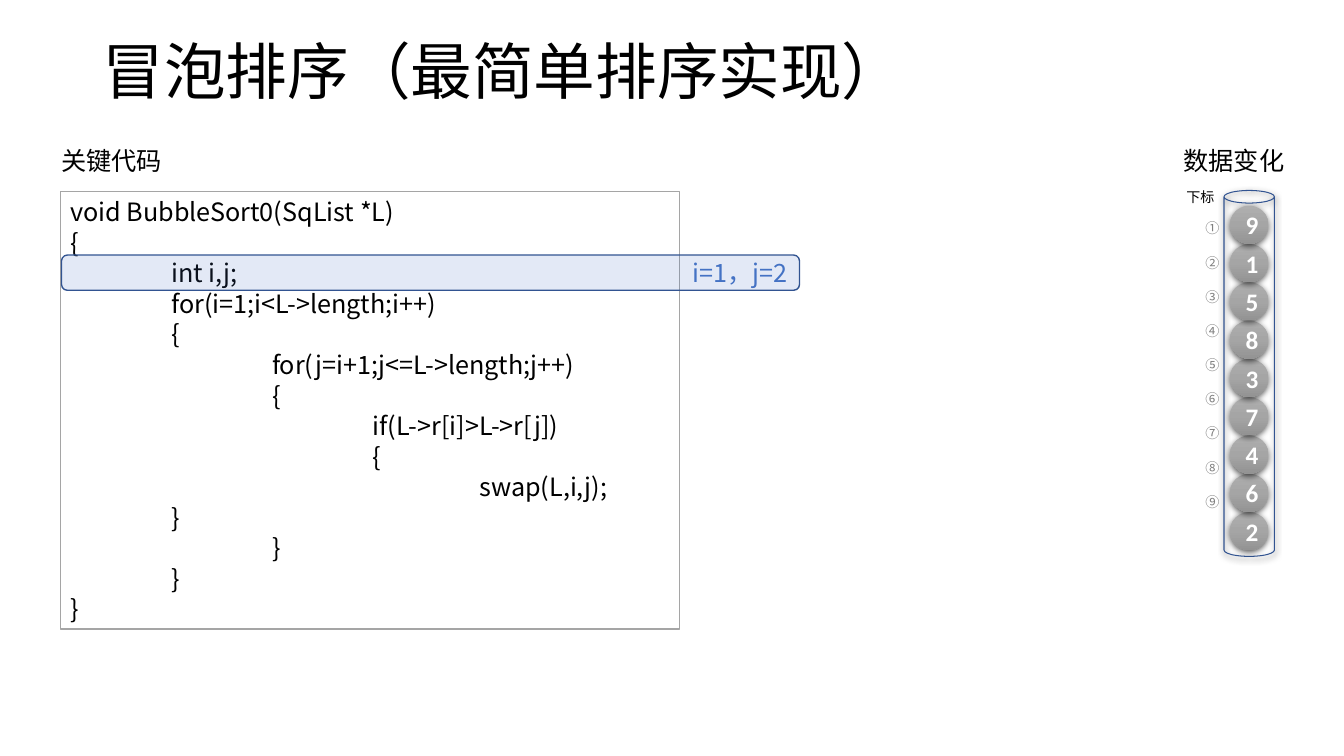
from copy import deepcopy

from lxml import etree
from pptx import Presentation
from pptx.dml.color import RGBColor
from pptx.enum.shapes import MSO_SHAPE
from pptx.enum.text import MSO_ANCHOR, PP_ALIGN
from pptx.oxml.ns import qn
from pptx.util import Inches, Pt

RECTANGLE = MSO_SHAPE.RECTANGLE
ROUNDED = MSO_SHAPE.ROUNDED_RECTANGLE
CAN = MSO_SHAPE.CAN
OVAL = MSO_SHAPE.OVAL
TOP, MIDDLE = MSO_ANCHOR.TOP, MSO_ANCHOR.MIDDLE
LEFT, CENTER, RIGHT = PP_ALIGN.LEFT, PP_ALIGN.CENTER, PP_ALIGN.RIGHT

CJK_FONT = "Noto Sans CJK SC"
BLACK, WHITE, GRAY = "000000", "FFFFFF", "808080"
BLUE, DARK_BLUE, FRAME_GRAY = "4472C4", "325491", "A5A5A5"
BALL_COLOURS = ("AFAFAF", "A5A5A5", "939393")

# Indent level and text of each code line
CODE = [
    (0, "void BubbleSort0(SqList *L)"),
    (0, "{"),
    (1, "int i,j;"),
    (1, "for(i=1;i<L->length;i++)"),
    (1, "{"),
    (2, "for(j=i+1;j<=L->length;j++)"),
    (2, "{"),
    (3, "if(L->r[i]>L->r[j])"),
    (3, "{"),
    (4, " swap(L,i,j);"),
    (1, "}"),
    (2, "}"),
    (1, "}"),
    (0, "}"),
]
DATA = [9, 1, 5, 8, 3, 7, 4, 6, 2]
INDICES = "①②③④⑤⑥⑦⑧⑨"
BALL_SIZE = BALL_PITCH = 0.38


def colour(value):
    """Turn a hex string into a colour."""
    return RGBColor.from_string(value)


def write(shape, lines, size, text_colour, align=LEFT, anchor=TOP,
          font=CJK_FONT, bold=False, spacing=None, wrap=True):
    """Fill a shape with one formatted paragraph per line."""
    frame = shape.text_frame
    frame.text = "\n".join(lines)
    frame.word_wrap = wrap
    frame.vertical_anchor = anchor
    for para in frame.paragraphs:
        para.alignment = align
        if spacing:
            para.line_spacing = spacing
        for span in para.runs:
            span.font.size = Pt(size)
            span.font.bold = bold
            span.font.name = font
            span.font.color.rgb = colour(text_colour)
            east_asian = etree.SubElement(span.font._element, qn("a:ea"))
            east_asian.set("typeface", font)
    return frame


def set_side_insets(frame, inset):
    """Set the left and right margins of a text frame."""
    frame.margin_left = frame.margin_right = Inches(inset)


def add_label(page, area, lines, size, text_colour=BLACK, **style):
    """Add a text box and return its text frame."""
    box = page.shapes.add_textbox(*map(Inches, area))
    return write(box, lines, size, text_colour, **style)


def add_block(page, kind, area, fill=None, line=None, width=1.0, alpha=None):
    """Add a preset shape with a plain fill and outline."""
    block = page.shapes.add_shape(kind, *map(Inches, area))
    block.shadow.inherit = False
    if fill:
        block.fill.solid()
        block.fill.fore_color.rgb = colour(fill)
    else:
        block.fill.background()
    if alpha:
        tint = block._element.spPr.find(qn("a:solidFill") + "/" + qn("a:srgbClr"))
        etree.SubElement(tint, qn("a:alpha")).set("val", str(alpha * 1000))
    if line:
        block.line.color.rgb = colour(line)
        block.line.width = Pt(width)
    else:
        block.line.fill.background()
    return block


def add_shadow(shape):
    """Give a shape a soft shadow below it."""
    effects = shape._element.spPr.find(qn("a:effectLst"))
    shadow = etree.SubElement(
        effects, qn("a:outerShdw"), blurRad=str(Pt(4.5)), dist=str(Pt(1.5)),
        dir="5400000", algn="ctr", rotWithShape="0")
    tint = etree.SubElement(shadow, qn("a:srgbClr"), val=BLACK)
    etree.SubElement(tint, qn("a:alpha"), val="63000")


def add_ball(page, left, top, value):
    """Add one numbered ball with a vertical gradient."""
    ball = add_block(page, OVAL, (left, top, BALL_SIZE, BALL_SIZE))
    add_shadow(ball)
    ball.fill.gradient()
    ball.fill.gradient_angle = 270
    stop_list = ball._element.spPr.find(".//" + qn("a:gsLst"))
    stop_list.insert(1, deepcopy(stop_list[0]))
    for number, stop in enumerate(ball.fill.gradient_stops):
        stop.position = number / 2
        stop.color.rgb = colour(BALL_COLOURS[number])
    frame = write(ball, [str(value)], 18, WHITE, align=CENTER, anchor=MIDDLE,
                  font="Calibri", bold=True)
    set_side_insets(frame, 0.1)


def add_code(page):
    """Add the framed code and the highlight over its current line."""
    panel = add_block(page, RECTANGLE, (0.6, 1.9, 6.14, 4.34), WHITE, FRAME_GRAY)
    frame = write(panel, [text for _, text in CODE], 18, BLACK, spacing=Pt(21.8))
    for para, (level, _) in zip(frame.paragraphs, CODE):
        para._p.get_or_add_pPr().set("marL", str(Inches(level)))
    highlight = add_block(page, ROUNDED, (0.61, 2.53, 7.32, 0.35), BLUE,
                          DARK_BLUE, alpha=15)
    write(highlight, ["i=1，j=2"], 18, BLUE, align=RIGHT, anchor=MIDDLE)


def add_data_tube(page):
    """Add the tube of balls and the index column beside it."""
    tube = add_block(page, CAN, (12.14, 1.89, 0.5, 3.63), line=DARK_BLUE, width=0.75)
    add_shadow(tube)
    add_label(page, (11.61, 1.82, 0.59, 0.27), ["下标"], 10, align=CENTER)
    for row, value in reversed(list(enumerate(DATA))):
        add_ball(page, 12.2, 2.04 + row * BALL_PITCH, value)
    frame = add_label(page, (11.84, 2.01, 0.37, 3.37), INDICES, 10, GRAY,
                      align=CENTER, spacing=Pt(24.4))
    set_side_insets(frame, 0)
    frame.margin_top = frame.margin_bottom = 0


def main():
    """Build and save the deck."""
    deck = Presentation()
    deck.slide_width, deck.slide_height = Inches(13.33), Inches(7.5)
    page = deck.slides.add_slide(deck.slide_layouts[6])
    add_label(page, (0.92, 0.01, 11.5, 1.45), ["冒泡排序（最简单排序实现）"], 44,
              anchor=MIDDLE, spacing=0.9)
    add_code(page)
    add_data_tube(page)
    add_label(page, (0.51, 1.39, 1.25, 0.4), ["关键代码"], 18, wrap=False)
    add_label(page, (11.64, 1.39, 1.21, 0.4), ["数据变化"], 18, wrap=False)
    deck.save("out.pptx")


main()
